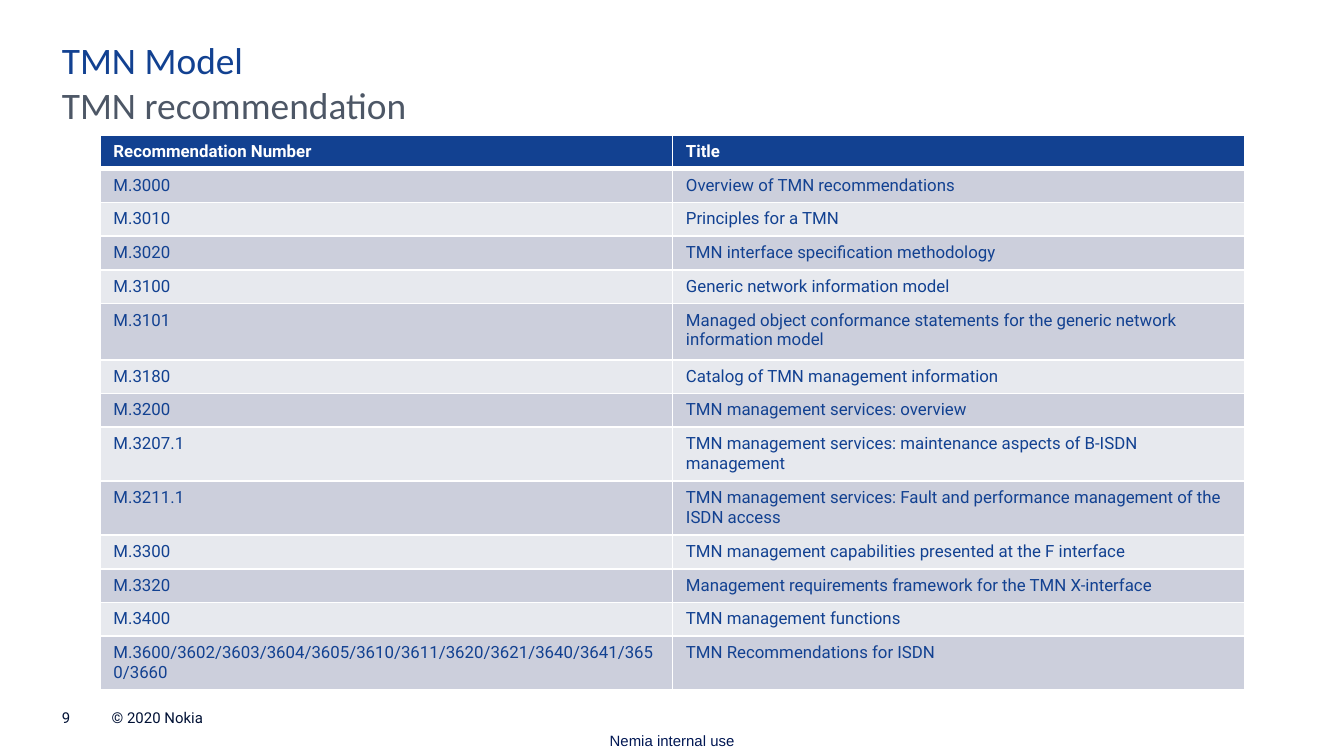
"""Build the slide that lists the TMN recommendations in a table."""
from dataclasses import dataclass

import pptx
import pptx.dml.color
import pptx.enum.text
import pptx.oxml
import pptx.oxml.ns
import pptx.util
from pptx.util import Cm

ANCHOR = pptx.enum.text.MSO_ANCHOR
ALIGN = pptx.enum.text.PP_ALIGN
AUTO_SIZE = pptx.enum.text.MSO_AUTO_SIZE


@dataclass(frozen=True)
class Theme:
    blue: str = "124191"
    gray: str = "4D5766"
    navy: str = "001135"
    notice: str = "001753"
    white: str = "FFFFFF"
    bands: tuple = ("CCCFDC", "E7E9EE")
    heading_font: str = "Calibri"
    body_font: str = "Roboto"
    notice_font: str = "Arial"
    heading_size: int = 20
    table_size: int = 9
    footer_size: int = 8
    border: int = 1
    header_border: int = 3


THEME = Theme()

HEADER = ("Recommendation Number", "Title")
RECOMMENDATIONS = (
    ("M.3000", "Overview of TMN recommendations"),
    ("M.3010", "Principles for a TMN"),
    ("M.3020", "TMN interface specification methodology"),
    ("M.3100", "Generic network information model"),
    ("M.3101", "Managed object conformance statements for the generic network information model"),
    ("M.3180", "Catalog of TMN management information"),
    ("M.3200", "TMN management services: overview"),
    ("M.3207.1", "TMN management services: maintenance aspects of B-ISDN management"),
    ("M.3211.1", "TMN management services: Fault and performance management of the ISDN access"),
    ("M.3300", "TMN management capabilities presented at the F interface"),
    ("M.3320", "Management requirements framework for the TMN X-interface"),
    ("M.3400", "TMN management functions"),
    ("M.3600/3602/3603/3604/3605/3610/3611/3620/3621/3640/3641/3650/3660",
     "TMN Recommendations for ISDN"),
)
ROW_HEIGHT = 0.63
TALL_ROWS = {5: 1.06, 8: 0.91, 9: 0.91, 13: 0.91}


def apply_format(target, values):
    """Set each attribute named in values on target."""
    for name, value in values.items():
        setattr(target, name, value)


def format_font(font, name, size, color, bold=False):
    """Give a font its typeface, size, colour and weight."""
    apply_format(font, {"name": name, "size": pptx.util.Pt(size), "bold": bold})
    font.color.rgb = pptx.dml.color.RGBColor.from_string(color)


def add_text(slide, box, text, font, frame_format=None, paragraph_format=None):
    """Add a one-paragraph text box without insets."""
    shape = slide.shapes.add_textbox(*(Cm(length) for length in box))
    frame = shape.text_frame
    margins = {f"margin_{side}": 0 for side in ("left", "top", "right", "bottom")}
    apply_format(frame, {"word_wrap": True, **margins, **(frame_format or {})})
    paragraph = frame.paragraphs[0]
    apply_format(paragraph, paragraph_format or {})
    run = paragraph.add_run()
    run.text = text
    format_font(run.font, *font)


def add_borders(cell, widths):
    """Draw white cell borders with a width in points for each side."""
    properties = cell._tc.get_or_add_tcPr()
    for side, width in widths.items():
        properties.append(pptx.oxml.parse_xml(
            f'<a:ln{side} {pptx.oxml.ns.nsdecls("a")} w="{pptx.util.Pt(width)}">'
            f'<a:solidFill><a:srgbClr val="{THEME.white}"/></a:solidFill></a:ln{side}>'))


def fill_cell(cell, text, row_index):
    """Write and style one table cell according to its row."""
    is_header = row_index == 0
    widths = dict.fromkeys("LRTB", THEME.border)
    if is_header:
        widths["B"] = THEME.header_border
    elif row_index == 1:
        widths["T"] = THEME.header_border
    add_borders(cell, widths)
    fill_color = THEME.blue if is_header else THEME.bands[(row_index - 1) % 2]
    cell.fill.solid()
    cell.fill.fore_color.rgb = pptx.dml.color.RGBColor.from_string(fill_color)
    run = cell.text_frame.paragraphs[0].add_run()
    run.text = text
    text_color = THEME.white if is_header else THEME.blue
    format_font(run.font, THEME.body_font, THEME.table_size, text_color, is_header)


def add_recommendation_table(slide):
    """Add the banded table of recommendation numbers and titles."""
    rows = (HEADER, *RECOMMENDATIONS)
    heights = [TALL_ROWS.get(index, ROW_HEIGHT) for index in range(len(rows))]
    table = slide.shapes.add_table(
        len(rows), len(HEADER), Cm(1.89), Cm(2.55), Cm(21.64), Cm(sum(heights))).table
    for row_index, texts in enumerate(rows):
        table.rows[row_index].height = Cm(heights[row_index])
        for column_index, text in enumerate(texts):
            fill_cell(table.cell(row_index, column_index), text, row_index)


def add_headings(slide):
    """Add the title and the subtitle below it."""
    for top, text, color in ((0.79, "TMN Model", THEME.blue),
                             (1.65, "TMN recommendation", THEME.gray)):
        add_text(slide, (1.17, top, 23.09, 0.86), text,
                 (THEME.heading_font, THEME.heading_size, color),
                 paragraph_format={"line_spacing": 0.9})


def add_footer(slide):
    """Add the page number, copyright line and usage notice."""
    footer_format = {"vertical_anchor": ANCHOR.BOTTOM, "auto_size": AUTO_SIZE.SHAPE_TO_FIT_TEXT}
    for left, width, text in ((1.17, 0.71, "9"), (2.11, 5, "© 2020 Nokia")):
        add_text(slide, (left, 13.39, width, 0.33), text,
                 (THEME.body_font, THEME.footer_size, THEME.navy), footer_format)
    add_text(slide, (11.23, 13.69, 2.95, 0.61), "Nemia internal use",
             (THEME.notice_font, THEME.footer_size, THEME.notice),
             {"vertical_anchor": ANCHOR.MIDDLE}, {"alignment": ALIGN.CENTER})


def main():
    """Create the presentation and save it."""
    presentation = pptx.Presentation()
    apply_format(presentation, {"slide_width": Cm(25.4), "slide_height": Cm(14.28)})
    slide = presentation.slides.add_slide(presentation.slide_layouts[6])
    add_footer(slide)
    add_headings(slide)
    add_recommendation_table(slide)
    presentation.save("out.pptx")


if __name__ == "__main__":
    main()
